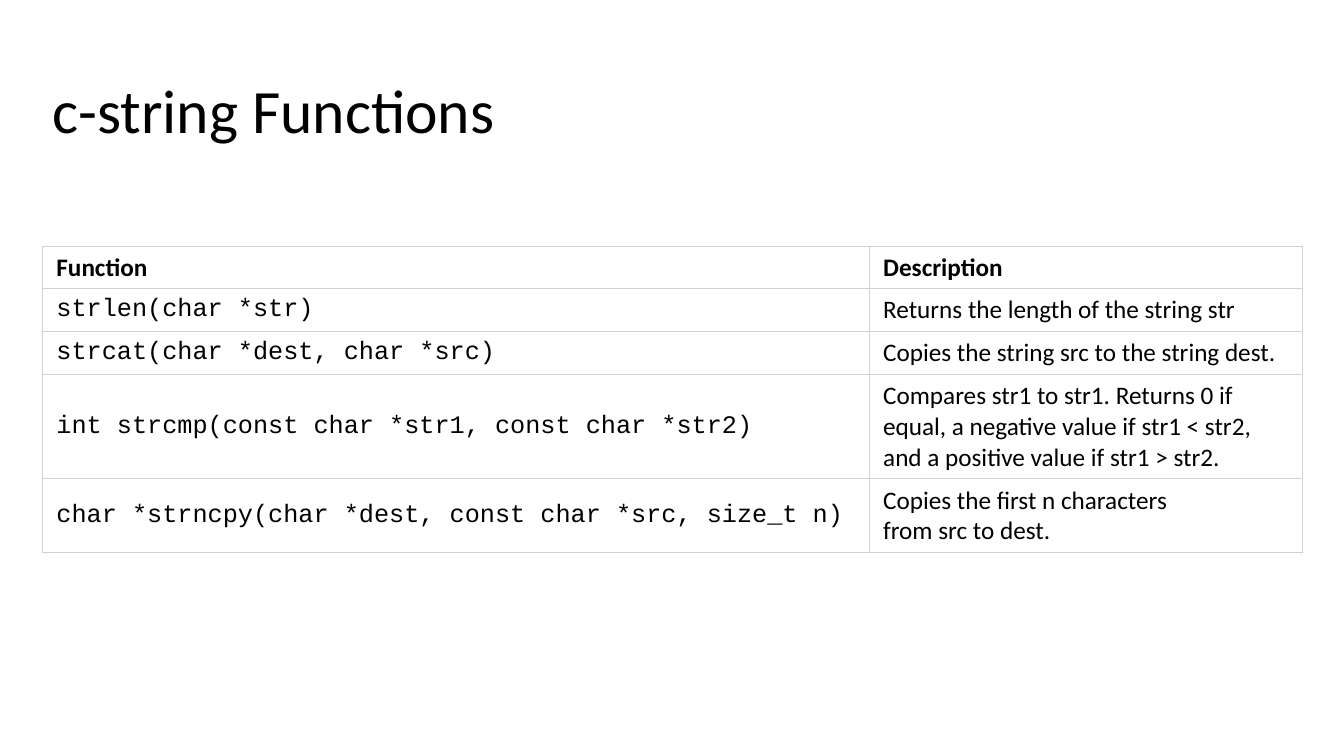
from dataclasses import dataclass

from lxml import etree
from pptx import Presentation
from pptx.dml.color import RGBColor
from pptx.enum.text import MSO_ANCHOR, PP_ALIGN
from pptx.oxml.ns import qn
from pptx.table import _Cell
from pptx.text.text import _Paragraph
from pptx.util import Inches, Pt

MIDDLE = MSO_ANCHOR.MIDDLE
LEFT = PP_ALIGN.LEFT

BLACK = RGBColor(0x00, 0x00, 0x00)
WHITE = RGBColor(0xFF, 0xFF, 0xFF)
RULE_GREY = RGBColor(0xD1, 0xD1, 0xD1)

BODY_FONT = "Calibri"
CODE_FONT = "Courier New"

SLIDE_WIDTH, SLIDE_HEIGHT = Inches(13.33), Inches(7.5)
MARGIN = Inches(0.42)
COLUMN_WIDTHS = (Inches(8.2), Inches(4.3))
CONTENT_WIDTH = sum(COLUMN_WIDTHS)
TABLE_TOP = Inches(2.44)
PAD_X, PAD_Y = Inches(0.14), Inches(0.06)
LINE_HEIGHT = Inches(0.305)
RULE_WIDTH = Pt(0.75)


@dataclass(frozen=True)
class FunctionRow:
    signature: str
    description: str
    lines: int = 1
    heading: bool = False


# Non-breaking spaces keep the argument names with their neighbours
ROWS = (
    FunctionRow("Function", "Description", heading=True),
    FunctionRow("strlen(char *str)", "Returns the length of the string str"),
    FunctionRow("strcat(char *dest, char *src)",
                "Copies the string\u00a0src\u00a0to the string\u00a0dest."),
    FunctionRow("int strcmp(const char *str1, const char *str2)",
                "Compares\u00a0str1\u00a0to\u00a0str1. Returns 0 if equal, "
                "a negative value if\u00a0str1 < str2, "
                "and a positive value if\u00a0str1 > str2.", lines=3),
    FunctionRow("char *strncpy(char *dest, const char *src, size_t n)",
                "Copies the first\u00a0n\u00a0characters "
                "from\u00a0src\u00a0to\u00a0dest.", lines=2),
)


def add_run(paragraph: _Paragraph, text: str, font: str, size: int,
            bold: bool = False) -> None:
    run = paragraph.add_run()
    run.text = text
    run.font.name = font
    run.font.size = Pt(size)
    run.font.bold = bold
    run.font.color.rgb = BLACK


def add_borders(cell: _Cell) -> None:
    """Rule all four sides; the lines must precede the fill in the XML."""
    properties = cell._tc.get_or_add_tcPr()
    for index, side in enumerate(("a:lnL", "a:lnR", "a:lnT", "a:lnB")):
        line = etree.Element(qn(side), w=str(RULE_WIDTH))
        fill = etree.SubElement(line, qn("a:solidFill"))
        etree.SubElement(fill, qn("a:srgbClr"), val=str(RULE_GREY))
        properties.insert(index, line)


def fill_cell(cell: _Cell, text: str, font: str, bold: bool) -> None:
    cell.margin_left = cell.margin_right = PAD_X
    cell.margin_top = cell.margin_bottom = PAD_Y
    cell.vertical_anchor = MIDDLE
    cell.fill.solid()
    cell.fill.fore_color.rgb = WHITE
    add_borders(cell)
    add_run(cell.text_frame.paragraphs[0], text, font, 18, bold)


presentation = Presentation()
presentation.slide_width, presentation.slide_height = SLIDE_WIDTH, SLIDE_HEIGHT
slide = presentation.slides.add_slide(presentation.slide_layouts[5])

# Title
title = slide.shapes.title
title.left, title.top = MARGIN, Inches(0.4)
title.width, title.height = CONTENT_WIDTH, Inches(1.45)
title.text_frame.vertical_anchor = MIDDLE
heading = title.text_frame.paragraphs[0]
heading.alignment = LEFT
heading.line_spacing = 0.9
add_run(heading, "c-string Functions", BODY_FONT, 44)

# Function table
row_heights = [int(row.lines * LINE_HEIGHT + 2 * PAD_Y) for row in ROWS]
functions = slide.shapes.add_table(
    len(ROWS), len(COLUMN_WIDTHS), MARGIN, TABLE_TOP,
    CONTENT_WIDTH, sum(row_heights)).table
functions.horz_banding = False
for column, width in zip(functions.columns, COLUMN_WIDTHS):
    column.width = width
for index, (row, height) in enumerate(zip(ROWS, row_heights)):
    functions.rows[index].height = height
    signature_font = BODY_FONT if row.heading else CODE_FONT
    fill_cell(functions.cell(index, 0), row.signature, signature_font, row.heading)
    fill_cell(functions.cell(index, 1), row.description, BODY_FONT, row.heading)

presentation.save("out.pptx")
